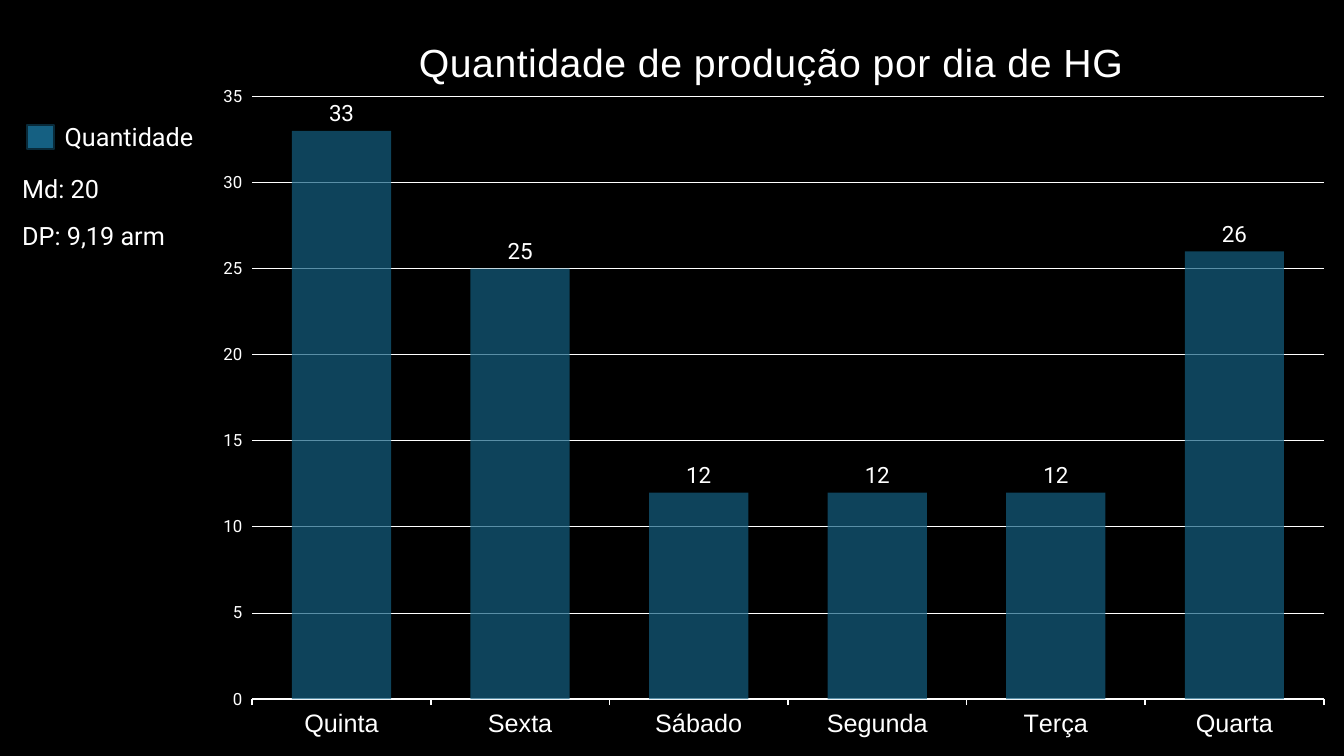
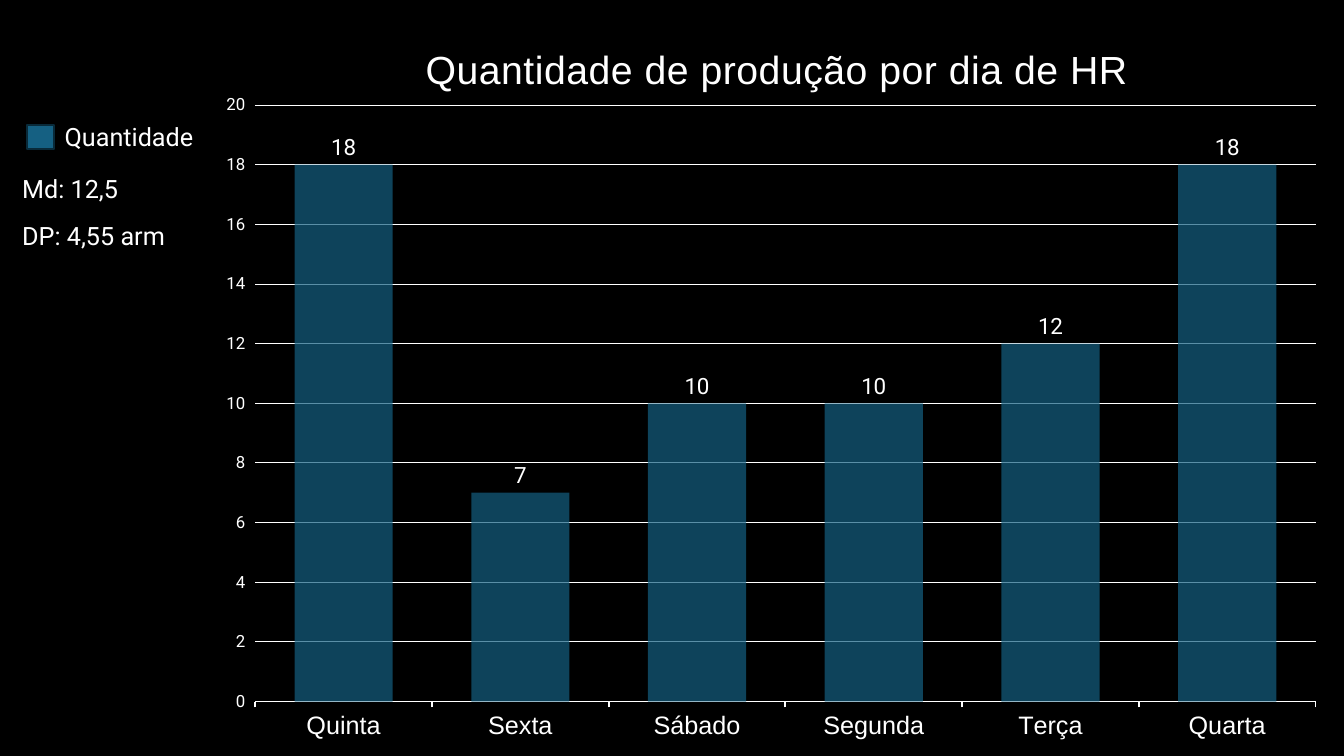
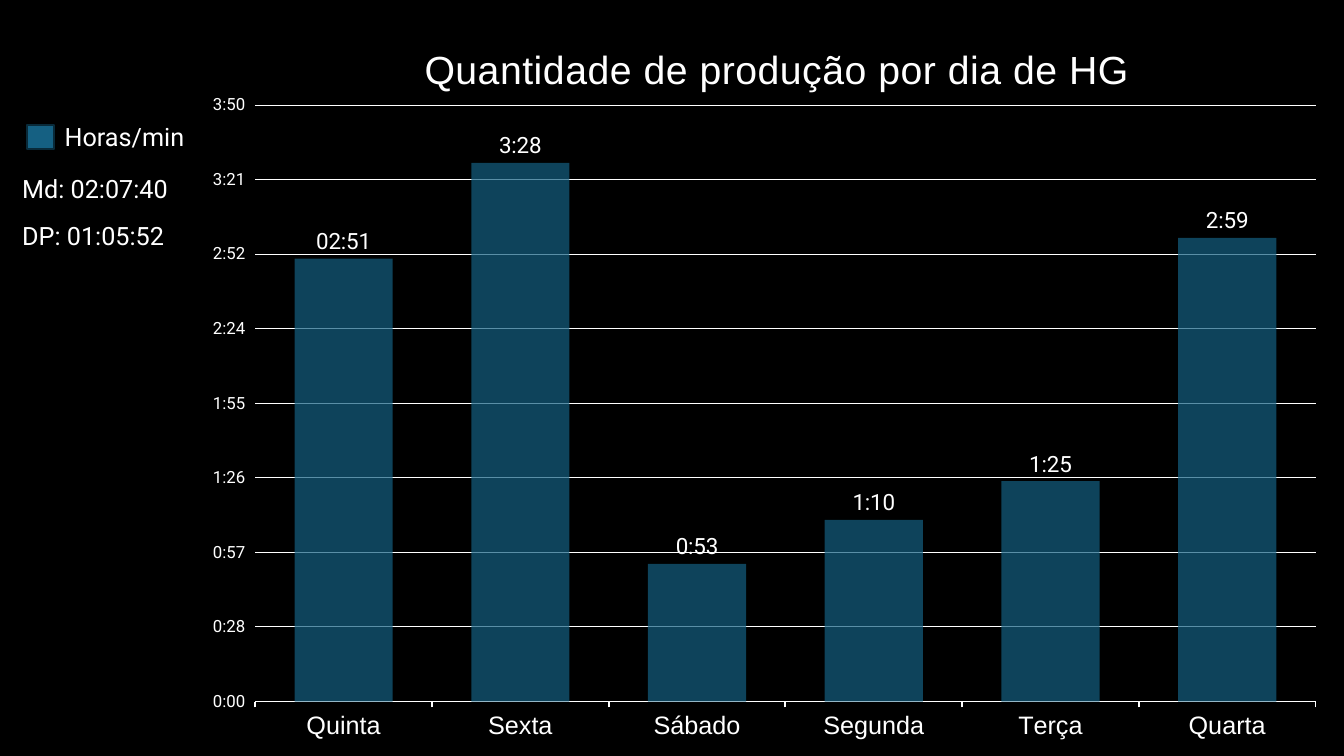
import dataclasses

import lxml.etree
import pptx
import pptx.chart.data
import pptx.dml.color
import pptx.enum.chart
import pptx.enum.shapes
import pptx.enum.text
import pptx.oxml
import pptx.oxml.ns
import pptx.util

Cm = pptx.util.Cm
Pt = pptx.util.Pt
qn = pptx.oxml.ns.qn


@dataclasses.dataclass(frozen=True)
class Theme:
    ground = pptx.dml.color.RGBColor.from_string("000000")
    ink = pptx.dml.color.RGBColor.from_string("FFFFFF")
    bar = pptx.dml.color.RGBColor.from_string("156082")
    bar_edge = pptx.dml.color.RGBColor.from_string("092A39")
    bar_alpha = "70000"
    heading_font = "Arial"
    body_font = "Roboto"
    title_size = Pt(28)
    text_size = Pt(18)
    label_size = Pt(16)
    scale_size = Pt(12)
    chart_size = Pt(10)
    title_spacing = "40"


theme = Theme()


def style_font(font, size, name):
    font.size = size
    font.name = name
    font.bold = False
    font.color.rgb = theme.ink


def add_note(page, left, top, text):
    box = page.shapes.add_textbox(left, top, Cm(4.8), Cm(1.02))
    box.text_frame.word_wrap = True
    box.text_frame.text = text
    style_font(box.text_frame.paragraphs[0].runs[0].font, theme.text_size, theme.body_font)


days = ["Quinta", "Sexta", "Sábado", "Segunda", "Terça", "Quarta"]
wide_frame = (Cm(5), Cm(0.45), Cm(28.88), Cm(19.25))
narrow_frame = (Cm(5.29), Cm(0.63), Cm(28.58), Cm(19.05))
wide_plot = {"x": 0.047, "y": 0.103, "w": 0.935, "h": 0.789}
narrow_plot = {"x": 0.04, "y": 0.106, "w": 0.935, "h": 0.789}

slides = [
    dict(title="Quantidade de produção por dia de HG", key="Quantidade",
         notes=["Md: 20", "DP: 9,19 arm"], values=[33, 25, 12, 12, 12, 26],
         top_value=35, step=5, number_format="General", first_label=None,
         frame=wide_frame, plot=wide_plot),
    dict(title="Quantidade de produção por dia de HR", key="Quantidade",
         notes=["Md: 12,5", "DP: 4,55 arm"], values=[18, 7, 10, 10, 12, 18],
         top_value=20, step=2, number_format="General", first_label=None,
         frame=narrow_frame, plot=narrow_plot),
    dict(title="Quantidade de produção por dia de HG", key="Horas/min",
         notes=["Md: 02:07:40", "DP: 01:05:52"],
         values=[0.1188, 0.1445, 0.0369, 0.0487, 0.0591, 0.1244],
         top_value=0.16, step=0.02, number_format="h:mm", first_label="02:51",
         frame=narrow_frame, plot=narrow_plot),
]

deck = pptx.Presentation()
deck.slide_width = Cm(33.87)
deck.slide_height = Cm(19.05)
ground = deck.slide_master.background.fill
ground.solid()
ground.fore_color.rgb = theme.ground

for content in slides:
    page = deck.slides.add_slide(deck.slide_layouts[5])
    left, top, width, height = content["frame"]

    title = page.shapes.title
    title.left, title.top, title.width, title.height = left, top + Cm(0.48), width, Cm(1.27)
    frame = title.text_frame
    frame.text = content["title"]
    frame.margin_left = frame.margin_right = frame.margin_top = frame.margin_bottom = 0
    frame.vertical_anchor = pptx.enum.text.MSO_ANCHOR.MIDDLE
    frame.auto_size = pptx.enum.text.MSO_AUTO_SIZE.NONE
    para = frame.paragraphs[0]
    para.alignment = pptx.enum.text.PP_ALIGN.CENTER
    span = para.runs[0]
    style_font(span.font, theme.title_size, theme.heading_font)
    span._r.get_or_add_rPr().set("spc", theme.title_spacing)

    chart_data = pptx.chart.data.CategoryChartData(number_format=content["number_format"])
    chart_data.categories = days
    chart_data.add_series(content["key"], content["values"])
    chart = page.shapes.add_chart(
        pptx.enum.chart.XL_CHART_TYPE.COLUMN_CLUSTERED, left, top, width, height, chart_data
    ).chart
    chart.has_title = False
    chart.has_legend = False
    style_font(chart.font, theme.chart_size, theme.body_font)
    chart_fill = pptx.oxml.parse_xml(
        f"<c:spPr {pptx.oxml.ns.nsdecls('c', 'a')}><a:noFill/><a:ln><a:noFill/></a:ln></c:spPr>"
    )
    chart._chartSpace.find(qn("c:txPr")).addprevious(chart_fill)

    plot_area = chart._chartSpace.chart.plotArea
    for old_layout in plot_area.findall(qn("c:layout")):
        plot_area.remove(old_layout)
    layout = lxml.etree.Element(qn("c:layout"))
    manual = lxml.etree.SubElement(layout, qn("c:manualLayout"))
    settings = {"layoutTarget": "inner", "xMode": "edge", "yMode": "edge", **content["plot"]}
    for name, value in settings.items():
        lxml.etree.SubElement(manual, qn(f"c:{name}")).set("val", str(value))
    plot_area.insert(0, layout)

    day_axis = chart.category_axis
    style_font(day_axis.tick_labels.font, theme.text_size, theme.heading_font)
    day_axis.format.line.color.rgb = theme.ink
    day_axis.format.line.width = Pt(1.25)

    scale = chart.value_axis
    scale.minimum_scale = 0
    scale.maximum_scale = content["top_value"]
    scale.major_unit = content["step"]
    scale.format.line.fill.background()
    scale.has_major_gridlines = True
    scale.major_gridlines.format.line.color.rgb = theme.ink
    scale.major_gridlines.format.line.width = Pt(0.75)
    style_font(scale.tick_labels.font, theme.scale_size, theme.body_font)
    scale.tick_labels.number_format = content["number_format"]
    scale.tick_labels.number_format_is_linked = False

    bars = chart.plots[0]
    bars.gap_width = 80
    bars.overlap = 25
    bars.vary_by_categories = False
    series = bars.series[0]
    series.invert_if_negative = False
    series.format.fill.solid()
    series.format.fill.fore_color.rgb = theme.bar
    bar_color = series._element.find(qn("c:spPr")).find(f".//{qn('a:srgbClr')}")
    lxml.etree.SubElement(bar_color, qn("a:alpha")).set("val", theme.bar_alpha)

    labels = series.data_labels
    labels.show_value = True
    labels.position = pptx.enum.chart.XL_LABEL_POSITION.OUTSIDE_END
    labels.number_format = content["number_format"]
    labels.number_format_is_linked = False
    style_font(labels.font, theme.label_size, theme.body_font)
    if content["first_label"]:
        label = series.points[0].data_label
        label.text_frame.text = content["first_label"]
        label.position = pptx.enum.chart.XL_LABEL_POSITION.OUTSIDE_END
        span = label.text_frame.paragraphs[0].runs[0]
        style_font(span.font, theme.label_size, theme.body_font)

    swatch = page.shapes.add_shape(
        pptx.enum.shapes.MSO_SHAPE.RECTANGLE, Cm(0.68), Cm(3.15), Cm(0.69), Cm(0.61)
    )
    swatch.shadow.inherit = False
    swatch.fill.solid()
    swatch.fill.fore_color.rgb = theme.bar
    swatch.line.color.rgb = theme.bar_edge
    swatch.line.width = Pt(1.5)

    add_note(page, Cm(1.38), Cm(2.93), content["key"])
    for row, note in enumerate(content["notes"]):
        add_note(page, Cm(0.31), Cm(4.24 + 1.18 * row), note)

deck.save("out.pptx")
